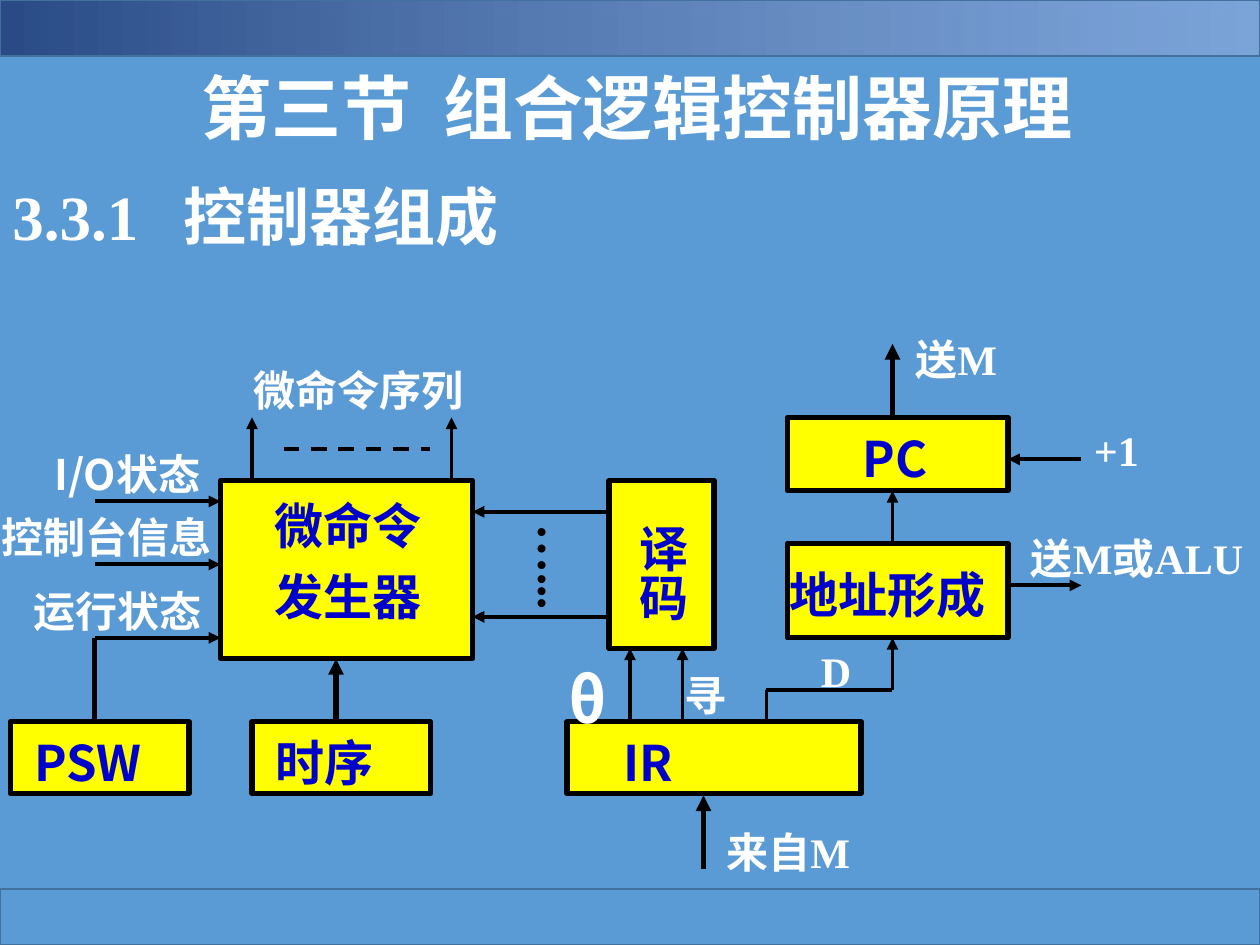
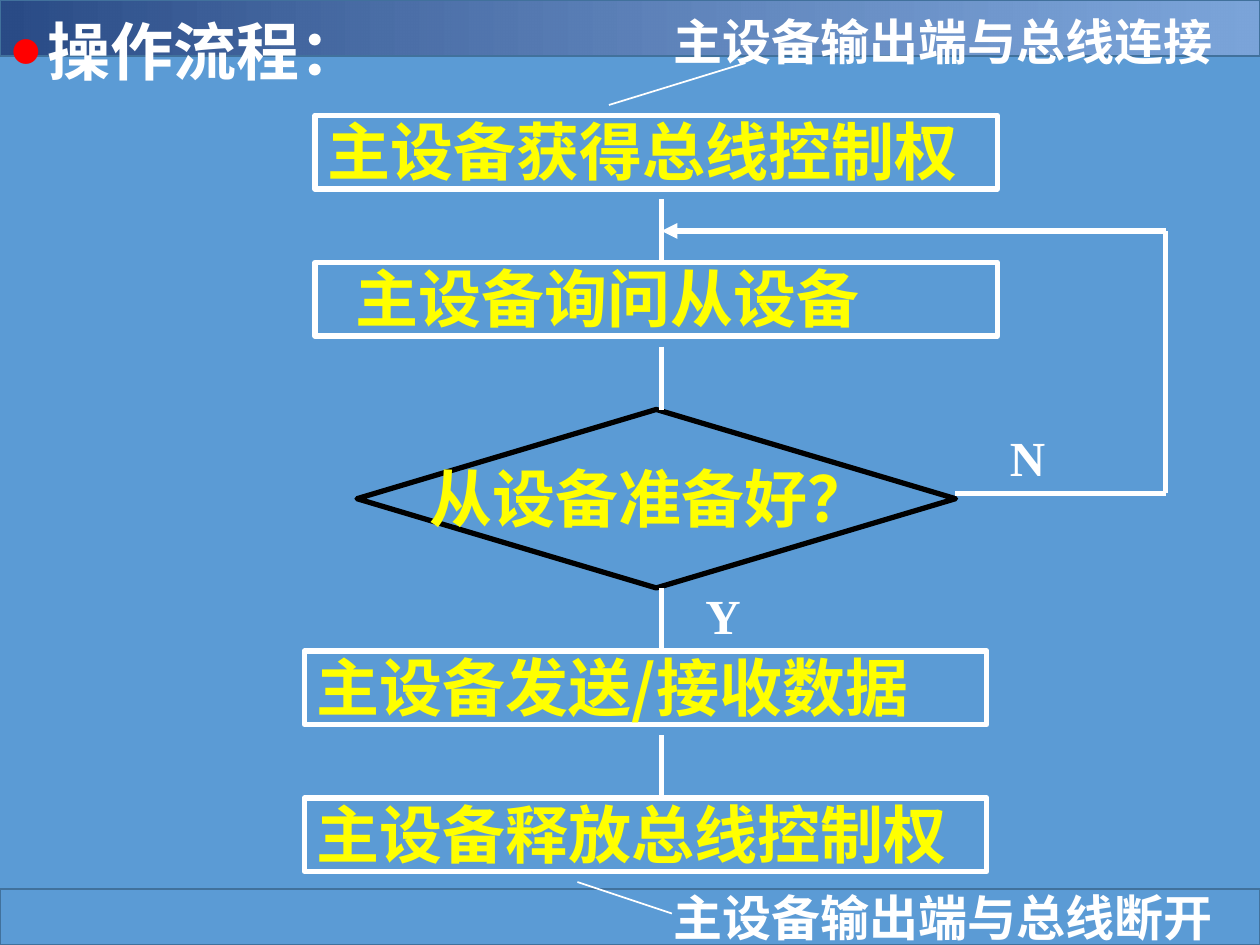
from dataclasses import dataclass

from lxml import etree
from pptx import Presentation
from pptx.dml.color import RGBColor
from pptx.enum.dml import MSO_LINE
from pptx.enum.shapes import MSO_CONNECTOR, MSO_SHAPE
from pptx.enum.text import MSO_ANCHOR, MSO_AUTO_SIZE, PP_ALIGN
from pptx.oxml.ns import qn
from pptx.util import Pt

RECT = MSO_SHAPE.RECTANGLE
DECISION = MSO_SHAPE.FLOWCHART_DECISION
STRAIGHT = MSO_CONNECTOR.STRAIGHT
DASH = MSO_LINE.DASH
TOP = MSO_ANCHOR.TOP
LEFT = PP_ALIGN.LEFT
NO_FIT = MSO_AUTO_SIZE.NONE

SERIF = "Times New Roman"
SANS = "Noto Sans CJK SC"
BLUE, EDGE, NAVY, PALE = "5B9BD5", "41719C", "2A4B86", "8FAADC"
WHITE, BLACK, YELLOW, INK, RED = "FFFFFF", "000000", "FFFF00", "0000CC", "FF0000"
SLIDE_W, SLIDE_H, BAND_H = 720, 540, 32
TITLE_ONLY = 5


@dataclass
class Style:
    size: float
    color: str = WHITE
    font: str = SERIF
    leading: float = 1.3
    space: float = 0


@dataclass
class Label:
    text: str
    x: float
    y: float
    w: float
    h: float
    style: Style
    indent: float = 0
    tab: float = 0
    vertical: bool = False


@dataclass
class Box:
    x: float
    y: float
    w: float
    h: float
    fill: str = ""
    line: str = BLACK
    line_w: float = 3
    kind: int = RECT
    text: str = ""
    style: Style | None = None
    indent: float = 0


@dataclass
class Line:
    x1: float
    y1: float
    x2: float
    y2: float
    arrow: bool = False
    width: float = 2.25
    color: str = BLACK
    dashed: bool = False


HEADING = Style(40)
SUBHEADING = Style(36)
SIGNAL = Style(24)
SIGNAL_SANS = Style(24, font=SANS)
THETA = Style(36, font=SANS)
UNIT = Style(28, INK)
UNIT_SANS = Style(28, INK, SANS)
UNIT_PAIR = Style(28, INK, leading=0.95, space=14.4)
DOTS = Style(28, BLACK)
STEP = Style(36, YELLOW, SANS, leading=1.06)
NOTE = Style(28)


def rgb(value: str) -> RGBColor:
    return RGBColor.from_string(value)


def sub(parent, tag: str, **attrs: str):
    return etree.SubElement(parent, qn(tag), attrs)


def write(tf, text: str, style: Style, indent: float = 0, tab: float = 0,
          bullet: str = "", vertical: bool = False) -> None:
    tf.word_wrap = True
    tf.auto_size = NO_FIT
    tf.vertical_anchor = TOP
    side, end = (3.6, 7.2) if vertical else (7.2, 3.6)
    tf.margin_left, tf.margin_right = Pt(side + indent), Pt(side)
    tf.margin_top = tf.margin_bottom = Pt(end)
    if vertical:
        tf._txBody.bodyPr.set("vert", "eaVert")
    leading = style.leading
    if style.font == SERIF and text.isascii():
        leading -= 0.07
    for i, content in enumerate(text.split("\n")):
        p = tf.add_paragraph() if i else tf.paragraphs[0]
        p.alignment = LEFT
        p.line_spacing = Pt(leading * style.size)
        p.space_before = Pt(style.space if i else 0)
        pPr = p._p.get_or_add_pPr()
        if bullet:
            pPr.set("marL", str(Pt(20)))
            pPr.set("indent", str(-Pt(20)))
            sub(sub(pPr, "a:buClr"), "a:srgbClr", val=RED)
            sub(pPr, "a:buSzPct", val="44000")
            sub(pPr, "a:buFont", typeface=SANS)
            sub(pPr, "a:buChar", char=bullet)
        if tab:
            sub(sub(pPr, "a:tabLst"), "a:tab", pos=str(Pt(tab)), algn="l")
        r = p.add_run()
        r.text = content
        r.font.size = Pt(style.size)
        r.font.bold = True
        r.font.color.rgb = rgb(style.color)
        r.font.name = style.font
        sub(r._r.get_or_add_rPr(), "a:ea", typeface=SANS)


def place(item: Label | Box) -> tuple[Pt, Pt, Pt, Pt]:
    return Pt(item.x), Pt(item.y), Pt(item.w), Pt(item.h)


def add_label(s, label: Label) -> None:
    tf = s.shapes.add_textbox(*place(label)).text_frame
    write(tf, label.text, label.style, label.indent, label.tab, vertical=label.vertical)


def add_box(s, box: Box):
    sp = s.shapes.add_shape(box.kind, *place(box))
    sp.shadow.inherit = False
    if box.fill:
        sp.fill.solid()
        sp.fill.fore_color.rgb = rgb(box.fill)
    else:
        sp.fill.background()
    sp.line.color.rgb = rgb(box.line)
    sp.line.width = Pt(box.line_w)
    if box.text:
        write(sp.text_frame, box.text, box.style, box.indent)
    return sp


def add_line(s, line: Line) -> None:
    cx = s.shapes.add_connector(STRAIGHT, Pt(line.x1), Pt(line.y1), Pt(line.x2), Pt(line.y2))
    cx.line.color.rgb = rgb(line.color)
    cx.line.width = Pt(line.width)
    if line.dashed:
        cx.line.dash_style = DASH
    if line.arrow:
        sub(cx.line._get_or_add_ln(), "a:tailEnd", type="triangle")
    sub(cx.element.spPr, "a:effectLst")


def add_title(s, label: Label, bullet: str = "") -> None:
    sp = s.shapes.title
    sp.left, sp.top, sp.width, sp.height = place(label)
    write(sp.text_frame, label.text, label.style, label.indent, label.tab, bullet)


def draw(s, items: list[Box | Line | Label]) -> None:
    painters = {Box: add_box, Line: add_line, Label: add_label}
    for item in items:
        painters[type(item)](s, item)


def build_master(prs, s) -> None:
    master = prs.slide_master
    master.background.fill.solid()
    master.background.fill.fore_color.rgb = rgb(BLUE)
    footer = add_box(s, Box(0, SLIDE_H - BAND_H, SLIDE_W, BAND_H, BLUE, EDGE, 1))
    header = add_box(s, Box(0, 0, SLIDE_W, BAND_H, BLUE, EDGE, 1))
    header.fill.gradient()
    header.fill.gradient_angle = 0
    for stop, color, position in zip(header.fill.gradient_stops, (NAVY, PALE), (0, 1)):
        stop.color.rgb = rgb(color)
        stop.position = position
    pale = header.element.findall(".//" + qn("a:gs") + "/" + qn("a:srgbClr"))[-1]
    sub(pale, "a:alpha", val="61000")
    for i, band in enumerate((footer, header)):
        band.element.nvSpPr.cNvPr.set("id", str(20 + i))
        master.shapes.element.insert(2 + i, band.element)


def build_controller(s) -> None:
    add_title(s, Label("第三节\t组合逻辑控制器原理", 108, 29, 564, 55, HEADING, tab=138))
    gen_top, low_top = 274.5, 412.5
    status = [(y, True) for y in (286.5, 322.5, 364.5)]
    draw(s, [
        Label("3.3.1\t控制器组成", 0, 94.5, 408, 50, SUBHEADING, tab=98),
        Line(162, 256.5, 246, 256.5, dashed=True),
        Box(126, gen_top, 144, 102, YELLOW),
        Label("微命令\n发生器", 150, 286.5, 102, 72, UNIT_PAIR),
        *[Line(x, gen_top, x, 238.5, True) for x in (144, 258)],
        Label("微命令序列", 138, 202.5, 138, 36, SIGNAL),
        *[Line(54, y, 126, y, arrow) for y, arrow in status],
        Label("I/O状态", 24, 250.5, 114, 36, SIGNAL_SANS),
        Label("控制台信息", -6, 286.5, 138, 36, SIGNAL),
        Label("运行状态", 12, 328.5, 138, 36, SIGNAL),
        Line(54, 364.5, 54, low_top, width=3),
        Box(348, gen_top, 60, 96, YELLOW),
        Label("译码", 354, 292.5, 47.5, 78, UNIT, vertical=True),
        *[Line(348, y, 270, y, True) for y in (292.5, 352.5)],
        Label("…...", 294.5, 292.5, 47.5, 78, DOTS, vertical=True),
        Box(450, 238.5, 126, 42, YELLOW),
        Box(6, low_top, 102, 41, YELLOW, text="PSW", style=UNIT_SANS, indent=6.3),
        Line(192, 418.5, 192, 376.5, True, 3),
        Box(144, low_top, 102, 41, YELLOW, text="时序", style=UNIT_SANS, indent=6.3),
        Box(324, low_top, 168, 41, YELLOW, text="IR", style=UNIT_SANS, indent=25),
        Box(450, 310.5, 126, 54, YELLOW),
        Label("地址形成", 444, 316.5, 162, 41, UNIT),
        Label("PC", 486, 238.5, 102, 41, UNIT_SANS),
        Line(510, 310.5, 510, 280.5, True),
        *[Line(x, low_top, x, 370.5, True) for x in (360, 390)],
        Line(438, 394.5, 438, low_top),
        Line(618, 262.5, 576, 262.5, True),
        Line(438, 394.5, 510, 394.5),
        Line(510, 394.5, 510, 364.5, True),
        Line(576, 334.5, 618, 334.5, True),
        Line(402, 496.5, 402, 454.5, True, 3),
        Line(510, 238.5, 510, 196.5, True, 3),
        Label("θ", 318, 370.5, 90, 50, THETA),
        Label("D", 462, 364.5, 78, 36, SIGNAL),
        Label("寻", 384, 376.5, 78, 36, SIGNAL),
        Label("来自M", 408, 466.5, 138, 36, SIGNAL),
        Label("送M或ALU", 582, 298.5, 138, 65, SIGNAL),
        Label("+1", 618, 238.5, 78, 36, SIGNAL),
        Label("送M", 516, 184.5, 78, 36, SIGNAL),
    ])


def build_bus_flow(s) -> None:
    add_title(s, Label("操作流程：", 0, 0, 258, 50, SUBHEADING), bullet="●")
    axis, loop_x, loop_y, ready_y = 378, 666, 132, 282
    steps = [
        ("主设备获得总线控制权", 180, 66, 0),
        ("主设备询问从设备", 180, 150, 16),
        ("主设备发送/接收数据", 174, 372, 0),
        ("主设备释放总线控制权", 174, 456, 0),
    ]
    draw(s, [
        *[Box(x, y, 390, 42, line=WHITE, text=text, style=STEP, indent=indent)
          for text, x, y, indent in steps],
        Box(204, 234, 342, 102, kind=DECISION),
        Label("从设备准备好？", 222, 264, 324, 42, STEP, indent=16),
        *[Line(axis, y, axis, y + 36, width=3, color=WHITE) for y in (114, 198, 336, 420)],
        Line(546, ready_y, loop_x, ready_y, width=3, color=WHITE),
        Line(loop_x, ready_y, loop_x, loop_y, width=3, color=WHITE),
        Line(loop_x, loop_y, axis, loop_y, True, 3, WHITE),
        Label("Y", 396, 330, 60, 41, NOTE),
        Label("N", 570, 240, 60, 41, NOTE),
        Line(348, 60, 426, 36, width=1, color=WHITE),
        Label("主设备输出端与总线连接", axis, 0, 342, 41, NOTE),
        Label("主设备输出端与总线断开", axis, 501, 342, 41, NOTE),
        Line(330, 504, 384, 522, width=1, color=WHITE),
    ])


def main() -> None:
    prs = Presentation()
    prs.slide_width, prs.slide_height = Pt(SLIDE_W), Pt(SLIDE_H)
    layout = prs.slide_layouts[TITLE_ONLY]
    controller, bus_flow = [prs.slides.add_slide(layout) for _ in range(2)]
    build_master(prs, controller)
    build_controller(controller)
    build_bus_flow(bus_flow)
    prs.save("out.pptx")


if __name__ == "__main__":
    main()
